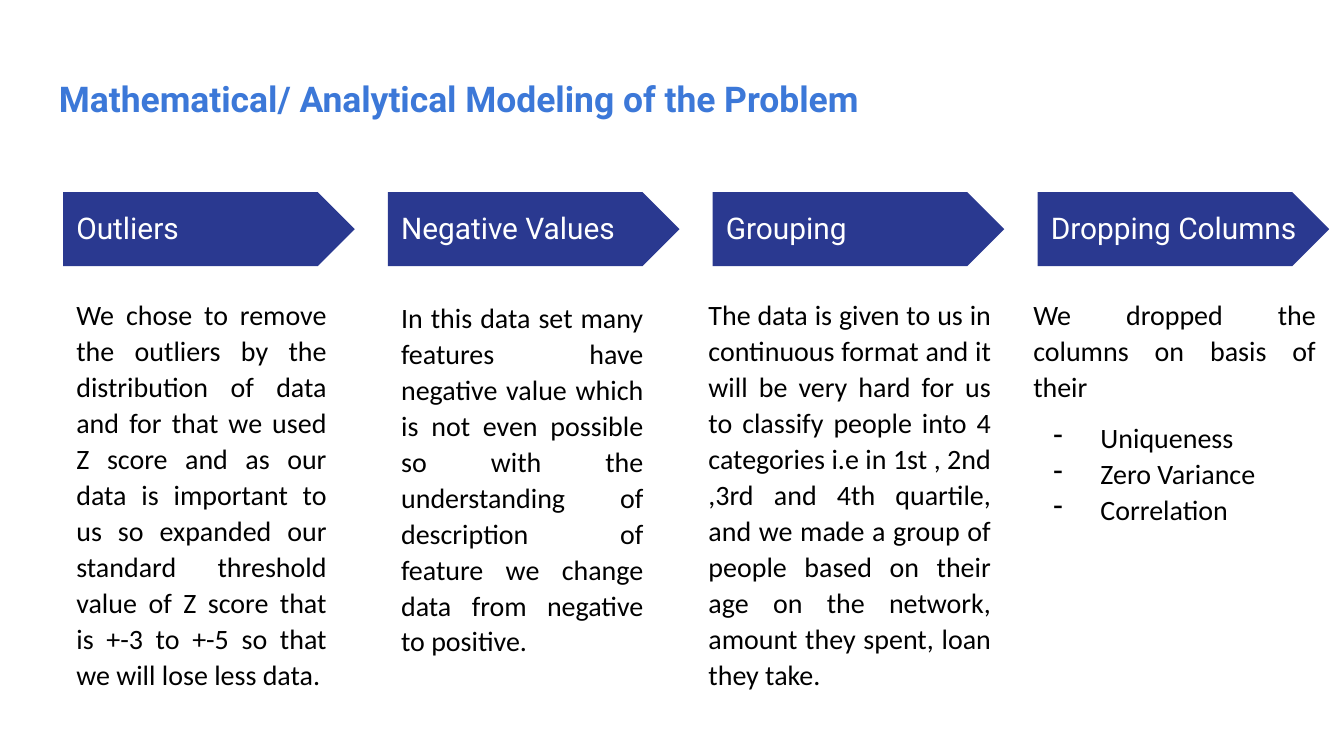
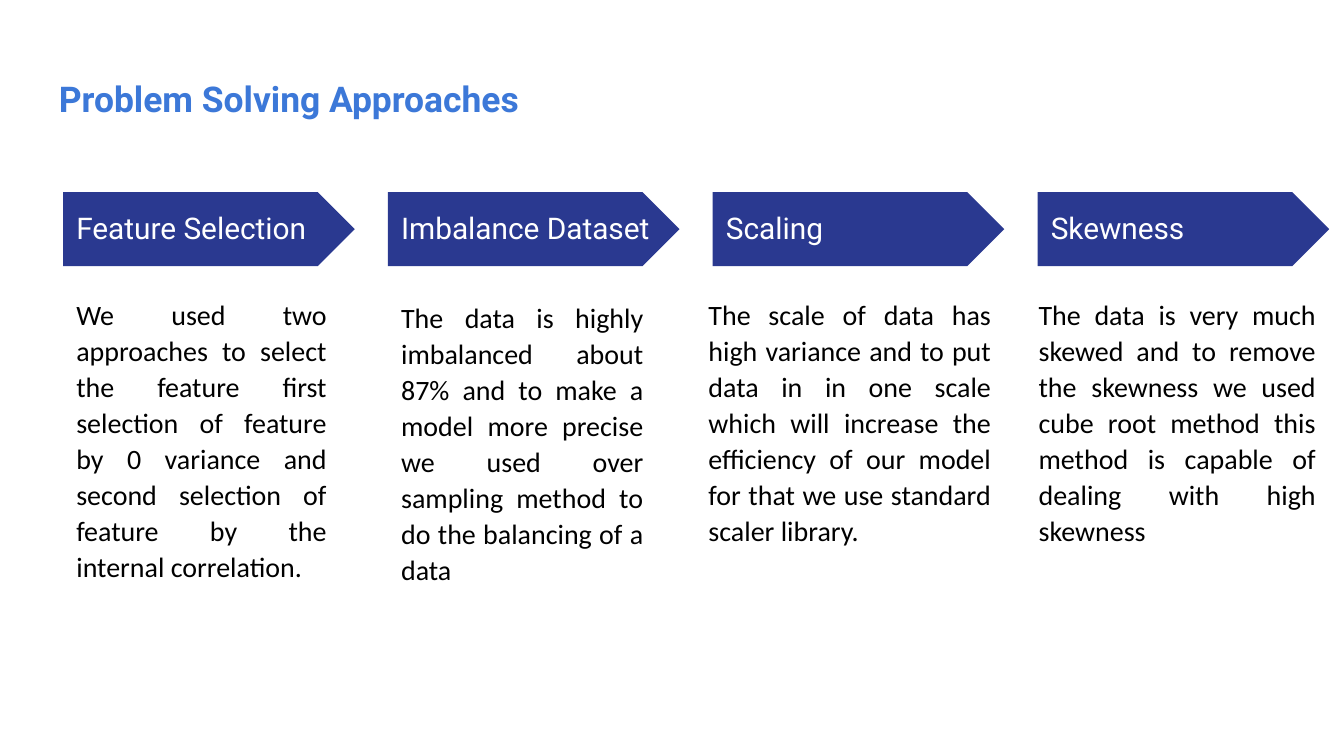
from lxml import etree
from pptx import Presentation
from pptx.dml.color import RGBColor
from pptx.enum.shapes import MSO_SHAPE
from pptx.enum.text import MSO_ANCHOR, PP_ALIGN
from pptx.oxml.ns import qn
from pptx.util import Inches, Pt

ARROW = MSO_SHAPE.PENTAGON
TOP, MID = MSO_ANCHOR.TOP, MSO_ANCHOR.MIDDLE
LEFT, FULL = PP_ALIGN.LEFT, PP_ALIGN.JUSTIFY

# Shared look
WIDE = 10
HIGH = WIDE * 9 / 16
BLUE, NAVY, WHITE, BLACK = "3C78D8", "2A3990", "FFFFFF", "000000"
HEAD, BODY = "Roboto", "Calibri"
PAD = 0.1

# Column grid
START, LAST = 0.47, 7.72
PITCH = (LAST - START) / 3
BAND, TALL = 2.17, 0.55
BAND_Y, HEAD_Y, BODY_Y = 1.43, 1.52, 2.1

# Body box of each column: shift from the arrow, width, drop
SLOTS = [(0, 2.06, 0), (0, 2, 0.02), (-0.13, 2.3, 0), (-0.13, 2.3, 0)]

DECK = [
    ("Mathematical/ Analytical Modeling of the Problem", SLOTS, [
        ("Outliers", "We chose to remove the outliers by the distribution of "
         "data and for that we used Z score and as our data is important to us "
         "so expanded our standard threshold value of Z score that is +-3 to "
         "+-5 so that we will lose less data.", []),
        ("Negative Values", "In this data set many features have negative "
         "value which is not even possible so with the understanding of "
         "description of feature we change data from negative to positive.", []),
        ("Grouping", "The data is given to us in continuous format and it will "
         "be very hard for us to classify people into 4 categories i.e in "
         "1st , 2nd ,3rd and 4th quartile, and we made a group of people based "
         "on their age on the network, amount they spent, loan they take.", []),
        ("Dropping Columns", "We dropped the columns on basis of their",
         ["Uniqueness", "Zero Variance", "Correlation"]),
    ]),
    ("Problem Solving Approaches", SLOTS[:3] + [(-0.09, 2.26, 0)], [
        ("Feature Selection", "We used two approaches to select the feature "
         "first selection of feature by 0 variance and second selection of "
         "feature by the internal correlation.", []),
        ("Imbalance Dataset", "The data is highly imbalanced about 87% and to "
         "make a model more precise we used over sampling method to do the "
         "balancing of a data", []),
        ("Scaling", "The scale of data has high variance and to put data in in "
         "one scale which will increase the efficiency of our model for that "
         "we use standard scaler library.", []),
        ("Skewness", "The data is very much skewed and to remove the skewness "
         "we used cube root method this method is capable of dealing with high "
         "skewness", []),
    ]),
]


def paint(hue):
    return RGBColor.from_string(hue)


def dash(para):
    """Give a paragraph a hanging dash."""
    props = para._p.get_or_add_pPr()
    props.set("marL", str(Inches(0.5)))
    props.set("indent", str(Inches(-0.35)))
    tint = etree.SubElement(props, qn("a:buClr"))
    etree.SubElement(tint, qn("a:srgbClr"), val=BLACK)
    etree.SubElement(props, qn("a:buChar"), char="-")


def write(slide, text, box, font=BODY, size=15, hue=BLACK, bold=False,
          align=FULL, anchor=TOP, lead=1.07, items=()):
    """Add a text box with one paragraph and an optional dashed list."""
    frame = slide.shapes.add_textbox(*map(Inches, box)).text_frame
    frame.word_wrap = True
    frame.vertical_anchor = anchor
    frame.margin_left = frame.margin_right = Inches(PAD)
    frame.margin_top = frame.margin_bottom = Inches(PAD)
    for row, line in enumerate([text, *items]):
        para = frame.add_paragraph() if row else frame.paragraphs[0]
        para.alignment, para.line_spacing = align, lead
        if row == 1:
            para.space_before = Pt(8)
        if row:
            dash(para)
        run = para.add_run()
        run.text = line
        run.font.name, run.font.size, run.font.bold = font, Pt(size), bold
        run.font.color.rgb = paint(hue)


def column(slide, left, slot, head, text, items):
    """Place an arrow, its heading and the text below it."""
    box = map(Inches, (left, BAND_Y, BAND, TALL))
    band = slide.shapes.add_shape(ARROW, *box)
    band.shadow.inherit = False
    band.fill.solid()
    band.fill.fore_color.rgb = paint(NAVY)
    band.line.fill.background()
    write(slide, head, (left, HEAD_Y, min(2.47, WIDE - left), 0.34),
          font=HEAD, size=16, hue=WHITE, align=LEFT, anchor=MID, lead=1)
    shift, width, drop = slot
    write(slide, text, (left + shift, BODY_Y + drop, width, 2.9), items=items)


def page(deck, title, slots, parts):
    """Build one slide: title over four columns."""
    slide = deck.slides.add_slide(deck.slide_layouts[6])
    write(slide, title, (0.34, 0.45, WIDE - 2 * 0.34, 0.66),
          font=HEAD, size=19, hue=BLUE, bold=True)
    for col, (slot, part) in enumerate(zip(slots, parts)):
        column(slide, START + col * PITCH, slot, *part)


def main():
    deck = Presentation()
    deck.slide_width, deck.slide_height = Inches(WIDE), Inches(HIGH)
    for title, slots, parts in DECK:
        page(deck, title, slots, parts)
    deck.save("out.pptx")


if __name__ == "__main__":
    main()
